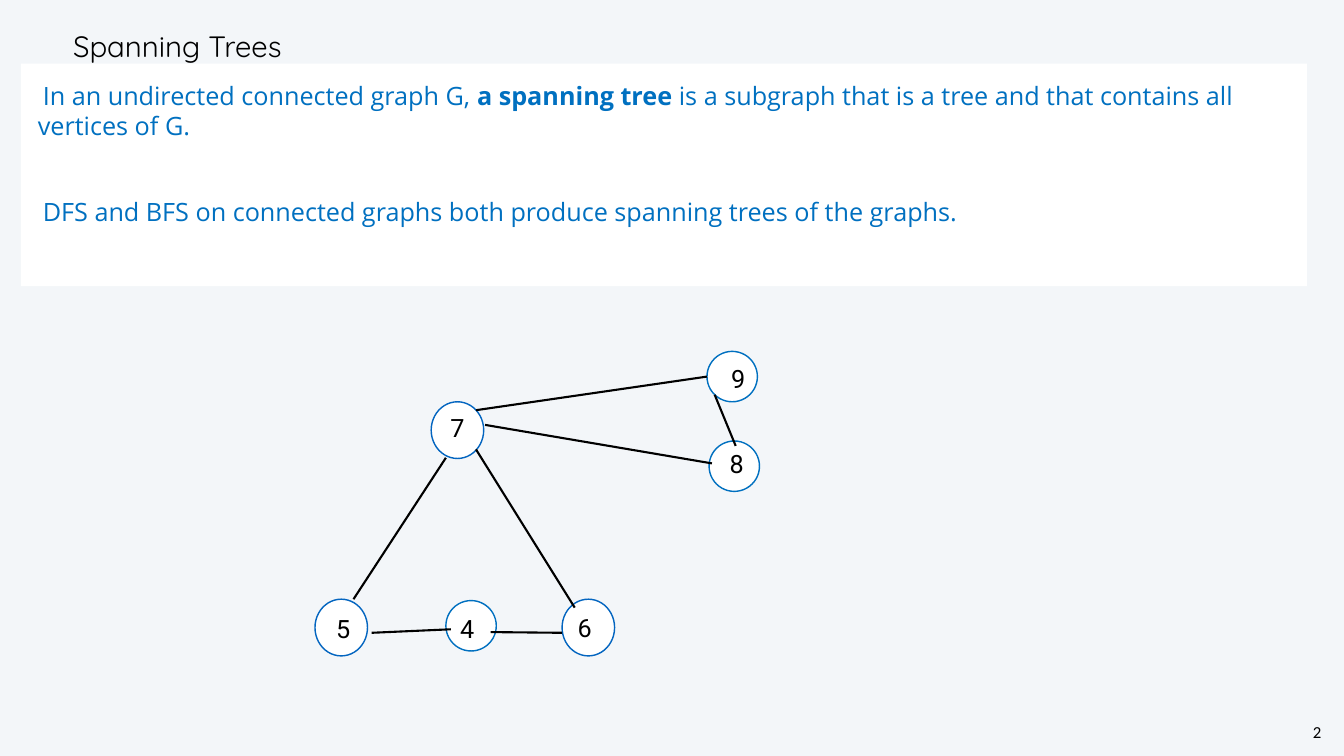
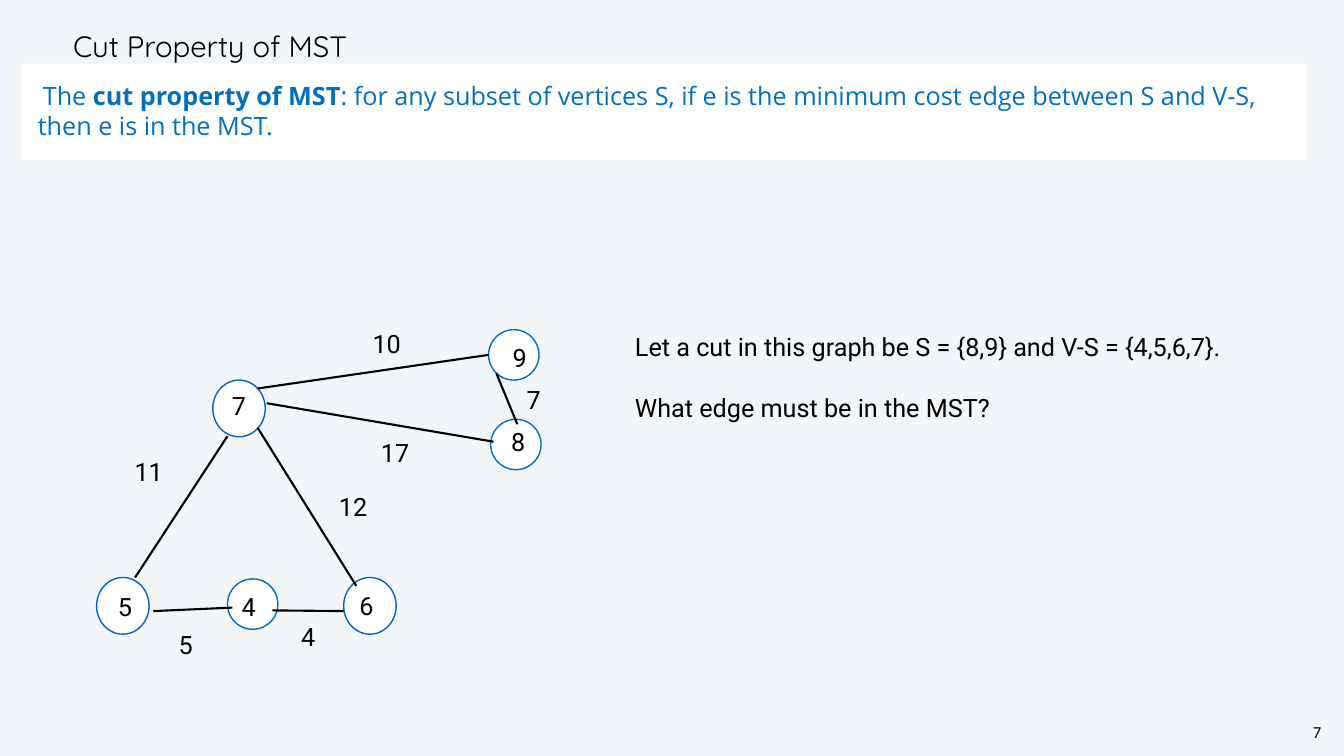
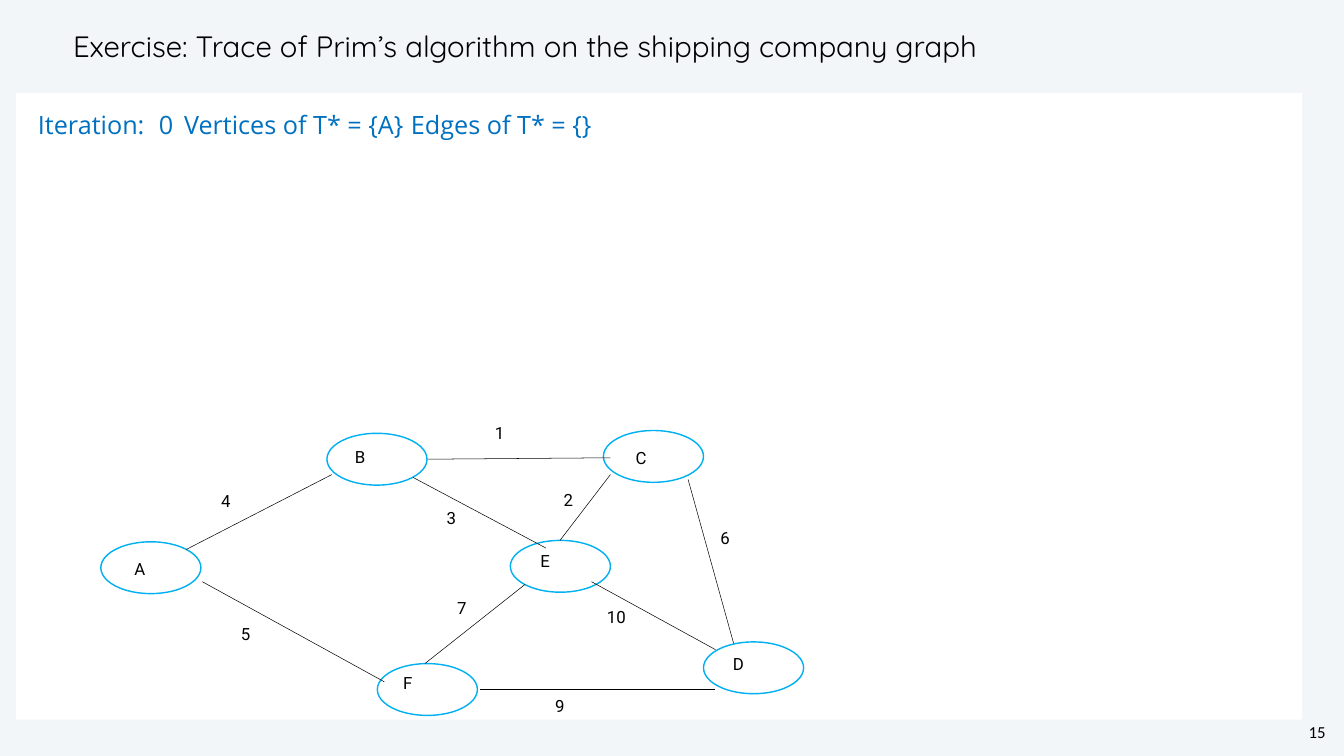
"""Build three slides on spanning trees, the cut property and Prim's algorithm."""
from dataclasses import dataclass

from lxml import etree
from pptx import Presentation
from pptx.dml.color import RGBColor
from pptx.enum.shapes import MSO_CONNECTOR, MSO_SHAPE
from pptx.enum.text import MSO_ANCHOR, MSO_AUTO_SIZE, PP_ALIGN
from pptx.oxml.ns import qn
from pptx.util import Pt

OVAL, RECTANGLE = MSO_SHAPE.OVAL, MSO_SHAPE.RECTANGLE
STRAIGHT = MSO_CONNECTOR.STRAIGHT
TOP, MIDDLE = MSO_ANCHOR.TOP, MSO_ANCHOR.MIDDLE
LEFT, CENTER = PP_ALIGN.LEFT, PP_ALIGN.CENTER
NO_AUTOFIT = MSO_AUTO_SIZE.NONE


@dataclass(frozen=True)
class Theme:
    background: RGBColor = RGBColor(0xF3, 0xF6, 0xF9)
    panel: RGBColor = RGBColor(0xFF, 0xFF, 0xFF)
    ink: RGBColor = RGBColor(0x00, 0x00, 0x00)
    blue: RGBColor = RGBColor(0x00, 0x70, 0xC0)
    royal: RGBColor = RGBColor(0x03, 0x65, 0xC0)
    sky: RGBColor = RGBColor(0x00, 0xB0, 0xF0)
    title_font: str = "Quicksand"
    body_font: str = "Open Sans"
    label_font: str = "Roboto"
    number_font: str = "Calibri"
    title_size: int = 42
    body_size: int = 36
    small_size: int = 24


theme = Theme()


def add_text(shapes, box, lines, size, font=theme.label_font, inset=(7.2, 3.6),
             anchor=TOP, wrap=True, align=LEFT, line_spacing=None, gap=0):
    """Add a text box with one paragraph per line."""
    frame = shapes.add_textbox(*map(Pt, box)).text_frame
    frame.word_wrap, frame.vertical_anchor = wrap, anchor
    frame.margin_left = frame.margin_right = Pt(inset[0])
    frame.margin_top = frame.margin_bottom = Pt(inset[1])
    for index, line in enumerate(lines):
        paragraph = frame.paragraphs[0] if index == 0 else frame.add_paragraph()
        paragraph.text, paragraph.alignment = line, align
        if line_spacing:
            paragraph.line_spacing = Pt(line_spacing)
        if index:
            paragraph.space_before = Pt(gap)
        paragraph.font.name, paragraph.font.size = font, Pt(size)
        paragraph.font.color.rgb = theme.ink


def add_graph(slide, nodes, edges, edge_width, shift=(0, 0)):
    """Add a group of ellipses and the lines between them, and return its shapes."""
    shapes = slide.shapes.add_group_shape().shapes
    across, down = shift
    for left, top, width, height, color in nodes:
        node = shapes.add_shape(OVAL, Pt(left + across), Pt(top + down), Pt(width), Pt(height))
        node.shadow.inherit = False
        node.fill.solid()
        node.fill.fore_color.rgb = theme.panel
        node.line.color.rgb, node.line.width = color, Pt(2)
    for start_x, start_y, end_x, end_y in edges:
        edge = shapes.add_connector(STRAIGHT, Pt(start_x + across), Pt(start_y + down),
                                    Pt(end_x + across), Pt(end_y + down))
        edge.line.color.rgb, edge.line.width = theme.ink, Pt(edge_width)
        etree.SubElement(edge._element.spPr, qn("a:effectLst"))
    return shapes


presentation = Presentation()
presentation.slide_width, presentation.slide_height = Pt(1920), Pt(1080)
master_fill = presentation.slide_master.background.fill
master_fill.solid()
master_fill.fore_color.rgb = theme.background
title_only = presentation.slide_layouts[5]

pages = [
    ("Spanning Trees", "2", (30, 91, 1837, 318), [], [
        [("In an undirected connected graph G, ", False), ("a spanning tree ", True),
         ("is a subgraph that is a tree and that contains all vertices of G.", False)],
        [("DFS and BFS on connected graphs both produce spanning trees of the graphs.", False)]]),
    ("Cut Property of MST", "7", (30, 91, 1837, 138), [], [
        [("The ", False), ("cut property of MST", True),
         (": for any subset of vertices S, if e is the minimum cost edge between S and V-S, "
          "then e is in the MST.", False)]]),
    ("Exercise: Trace of Prim’s algorithm on the shipping company graph", "15",
     (23, 133, 1837, 895), [187, 533, 1099], [
         [("Iteration:\t0\tVertices of T* = {A}\tEdges of T* = {}", False)]]),
]

for title_text, number, panel_box, tab_stops, panel_lines in pages:
    slide = presentation.slides.add_slide(title_only)
    title = slide.shapes.title
    title.left, title.top, title.width, title.height = Pt(100), Pt(30), Pt(1629), Pt(71)
    frame = title.text_frame
    frame.text = title_text
    frame.auto_size, frame.vertical_anchor, frame.word_wrap = NO_AUTOFIT, MIDDLE, True
    frame.margin_left = frame.margin_right = frame.margin_top = frame.margin_bottom = Pt(4.3)
    paragraph = frame.paragraphs[0]
    paragraph.alignment = LEFT
    paragraph.line_spacing, paragraph.space_before = Pt(50), Pt(3)
    paragraph.font.name, paragraph.font.size = theme.title_font, Pt(theme.title_size)
    paragraph.font.color.rgb = theme.ink

    panel = slide.shapes.add_shape(RECTANGLE, *map(Pt, panel_box))
    panel.shadow.inherit = False
    panel.fill.solid()
    panel.fill.fore_color.rgb = theme.panel
    panel.line.fill.background()
    frame = panel.text_frame
    frame.word_wrap, frame.vertical_anchor = True, TOP
    frame.margin_left = frame.margin_right = frame.margin_top = frame.margin_bottom = Pt(24)
    for index, runs in enumerate(panel_lines):
        paragraph = frame.paragraphs[0] if index == 0 else frame.add_paragraph()
        properties = paragraph._p.get_or_add_pPr()
        properties.set("indent", str(Pt(7.2)))
        if tab_stops:
            tab_list = etree.SubElement(properties, qn("a:tabLst"))
            for stop in tab_stops:
                etree.SubElement(tab_list, qn("a:tab"), pos=str(Pt(stop)), algn="l")
        paragraph.alignment = LEFT
        paragraph.line_spacing = Pt(43)
        paragraph.space_before = Pt(79 if index else 18)
        paragraph.font.name, paragraph.font.size = theme.body_font, Pt(theme.body_size)
        paragraph.font.color.rgb = theme.blue
        for text, bold in runs:
            run = paragraph.add_run()
            run.text, run.font.bold = text, bold

    add_text(slide.shapes, (1866, 1029, 31, 34), [number], theme.small_size, theme.number_font,
             inset=(3, 3), wrap=False, align=CENTER, line_spacing=28)

spanning_slide, cut_slide, prim_slide = presentation.slides

small_circle = (72, 72, theme.blue)
large_circle = (75, 81, theme.royal)
tree_nodes = [(1013, 630, *small_circle), (616, 574, *large_circle), (450, 856, *large_circle),
              (803, 856, *large_circle), (637, 858, *small_circle), (1010, 502, *small_circle)]
tree_edges = [(1010, 538, 680, 586), (637, 654, 505, 856), (680, 642, 821, 868),
              (531, 904, 644, 899), (701, 903, 803, 904), (1017, 662, 693, 607),
              (1021, 564, 1051, 637)]
tree_names = [("5", 476, 872), ("7", 639, 584), ("6", 821, 870),
              ("4", 653, 872), ("8", 1038, 636), ("9", 1040, 515)]
for slide, (across, down) in ((spanning_slide, (0, 0)), (cut_slide, (-312, -31))):
    graph_shapes = add_graph(slide, tree_nodes, tree_edges, 3, (across, down))
    for name, left, top in tree_names:
        add_text(graph_shapes, (left + across, top + down, 78, 52), [name], theme.body_size,
                 inset=(4.3, 4.3), anchor=MIDDLE)

cut_weights = [("7", 748, 544), ("17", 540, 620), ("10", 528, 464), ("12", 480, 698),
               ("11", 188, 647), ("5", 251, 895), ("4", 426, 883)]
for weight, left, top in cut_weights:
    add_text(cut_slide.shapes, (left, top, 78, 52), [weight], theme.body_size,
             inset=(4.3, 4.3), anchor=MIDDLE)
add_text(cut_slide.shapes, (900, 470, 960, 138),
         ["Let a cut in this graph be S = {8,9} and V-S = {4,5,6,7}.",
          "What edge must be in the MST?"], theme.body_size, gap=44)

city_corners = [(1005, 917), (144, 774), (539, 948), (729, 772), (862, 615), (467, 619)]
city_nodes = [(left, top, 143, 74, theme.sky) for left, top in city_corners]
routes = [(686, 984, 1022, 984), (289, 831, 549, 974), (266, 785, 474, 678),
          (611, 656, 872, 654), (590, 682, 780, 783), (983, 685, 1048, 919),
          (845, 831, 1022, 928), (800, 772, 872, 678), (750, 835, 607, 948)]
city_labels = [("A", 185, 795, 31), ("B", 500, 634, 31), ("D", 1040, 931, 32),
               ("C", 901, 636, 32), ("F", 569, 958, 30), ("E", 765, 783, 31),
               ("1", 700, 601, 28), ("10", 860, 863, 268), ("2", 798, 696, 28),
               ("6", 1022, 750, 28), ("9", 786, 991, 117), ("7", 646, 850, 28),
               ("4", 309, 697, 28), ("5", 337, 887, 28), ("3", 631, 722, 28)]
city_shapes = add_graph(prim_slide, city_nodes, routes, 0.75)
for text, left, top, width in city_labels:
    add_text(city_shapes, (left, top, width, 36), [text], theme.small_size, wrap=width > 40)

presentation.save("out.pptx")
